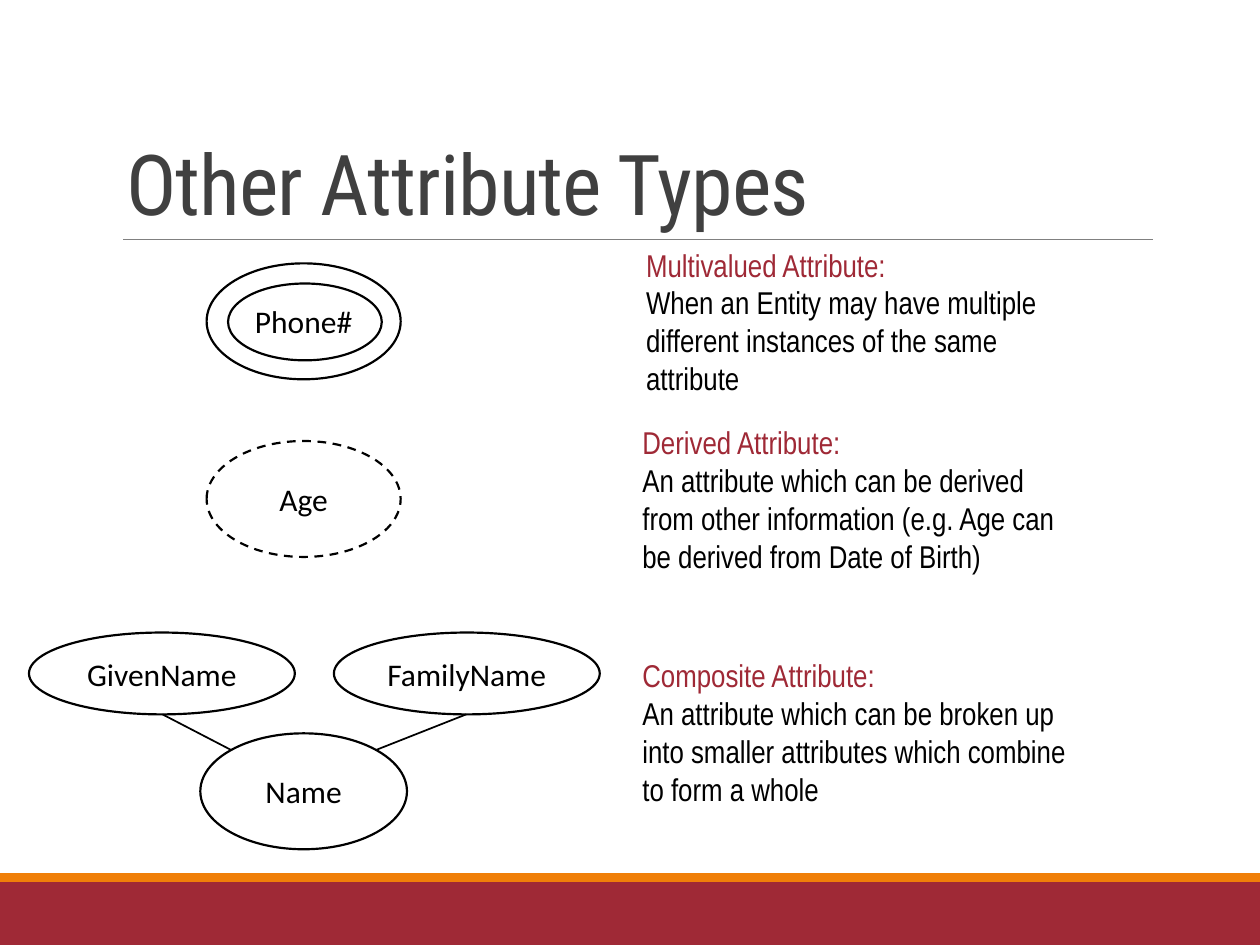
from dataclasses import dataclass
from typing import Any, Optional

import pptx
import pptx.dml.color
import pptx.enum.dml
import pptx.enum.shapes
import pptx.enum.text
import pptx.oxml.ns
import pptx.util
from lxml import etree

Inches = pptx.util.Inches
Pt = pptx.util.Pt
RGBColor = pptx.dml.color.RGBColor
Shape = pptx.enum.shapes.MSO_SHAPE
Align = pptx.enum.text.PP_ALIGN
Anchor = pptx.enum.text.MSO_ANCHOR
AutoSize = pptx.enum.text.MSO_AUTO_SIZE
Dash = pptx.enum.dml.MSO_LINE

MAROON = RGBColor(0x9F, 0x29, 0x36)
ORANGE = RGBColor(0xF0, 0x7F, 0x09)
GRAY = RGBColor(0x80, 0x80, 0x80)
CHARCOAL = RGBColor(0x40, 0x40, 0x40)
BLACK = RGBColor(0, 0, 0)
WHITE = RGBColor(0xFF, 0xFF, 0xFF)

TITLE_FONT = {"name": "Roboto Condensed", "size": Pt(48)}
LABEL_FONT = {"name": "Calibri", "size": Pt(18)}
NOTE_FONT = {"name": "Arial Narrow", "size": Pt(18)}


@dataclass
class Band:
    top: float
    height: float
    color: RGBColor


@dataclass
class Oval:
    label: str
    left: float
    top: float
    width: float
    height: float
    fill: Optional[RGBColor] = WHITE
    dash: Optional[Any] = None


@dataclass
class Line:
    start: tuple[float, float]
    end: tuple[float, float]
    color: RGBColor
    weight: float


@dataclass
class Note:
    heading: str
    body: str
    left: float
    top: float


BANDS = [Band(7, 0.5, MAROON), Band(6.93, 0.07, ORANGE)]

OVALS = [
    Oval("", 1.81, 2.25, 1.22, 0.61),
    Oval("Phone#", 1.64, 2.09, 1.54, 0.92, fill=None),
    Oval("Age", 1.64, 3.5, 1.54, 0.92, dash=Dash.DASH),
    Oval("Name", 1.59, 5.82, 1.64, 0.92),
    Oval("GivenName", 0.23, 5.02, 2.11, 0.65),
    Oval("FamilyName", 2.65, 5.02, 2.11, 0.65),
]

LINES = [
    Line((0.98, 1.9), (9.15, 1.9), GRAY, 0.5),
    Line((1.29, 5.67), (1.83, 5.95), BLACK, 1),
    Line((3.7, 5.67), (2.99, 5.95), BLACK, 1),
]

NOTES = [
    Note("Multivalued Attribute:",
         "When an Entity may have multiple different instances of the same attribute",
         5.03, 1.9),
    Note("Derived Attribute:",
         "An attribute which can be derived from other information "
         "(e.g. Age can be derived from Date of Birth)",
         5, 3.31),
    Note("Composite Attribute:",
         "An attribute which can be broken up into smaller attributes "
         "which combine to form a whole",
         5, 5.16),
]


def apply(target: Any, values: dict[str, Any]) -> None:
    for name, value in values.items():
        setattr(target, name, value)


def write(para: Any, text: str, font: dict[str, Any], color: RGBColor) -> Any:
    span = para.add_run()
    span.text = text
    apply(span.font, font)
    span.font.color.rgb = color
    return span


def draw_title(page: Any, text: str) -> None:
    title = page.shapes.title
    apply(title, {"left": Inches(0.9), "top": Inches(0.31),
                  "width": Inches(8.25), "height": Inches(1.59)})
    apply(title.text_frame, {"vertical_anchor": Anchor.BOTTOM, "word_wrap": True,
                             "auto_size": AutoSize.NONE})
    para = title.text_frame.paragraphs[0]
    apply(para, {"alignment": Align.LEFT, "line_spacing": 0.85})
    span = write(para, text, TITLE_FONT, CHARCOAL)
    span.font._element.set("spc", "-50")


def draw_band(page: Any, band: Band) -> None:
    shape = page.shapes.add_shape(Shape.RECTANGLE, 0, Inches(band.top),
                                  Inches(10), Inches(band.height))
    shape.shadow.inherit = False
    shape.fill.solid()
    shape.fill.fore_color.rgb = band.color
    shape.line.fill.background()


def draw_oval(page: Any, oval: Oval) -> None:
    shape = page.shapes.add_shape(Shape.OVAL, Inches(oval.left), Inches(oval.top),
                                  Inches(oval.width), Inches(oval.height))
    shape.shadow.inherit = False
    if oval.fill is None:
        shape.fill.background()
    else:
        shape.fill.solid()
        shape.fill.fore_color.rgb = oval.fill
    shape.line.color.rgb = BLACK
    apply(shape.line, {"width": Pt(1.25), "dash_style": oval.dash})
    if oval.label:
        shape.text_frame.vertical_anchor = Anchor.MIDDLE
        para = shape.text_frame.paragraphs[0]
        para.alignment = Align.CENTER
        write(para, oval.label, LABEL_FONT, BLACK)


def draw_line(page: Any, line: Line) -> None:
    connector = page.shapes.add_connector(
        pptx.enum.shapes.MSO_CONNECTOR.STRAIGHT,
        *(Inches(value) for value in line.start + line.end))
    connector.line.color.rgb = line.color
    connector.line.width = Pt(line.weight)
    etree.SubElement(connector._element.spPr, pptx.oxml.ns.qn("a:effectLst"))


def draw_note(page: Any, note: Note) -> None:
    box = page.shapes.add_textbox(Inches(note.left), Inches(note.top),
                                  Inches(3.64), Inches(1.31))
    frame = box.text_frame
    apply(frame, {"word_wrap": True, "auto_size": AutoSize.SHAPE_TO_FIT_TEXT})
    write(frame.paragraphs[0], note.heading, NOTE_FONT, MAROON)
    write(frame.add_paragraph(), note.body, NOTE_FONT, BLACK)


def main() -> None:
    deck = pptx.Presentation()
    apply(deck, {"slide_width": Inches(10), "slide_height": Inches(7.5)})
    page = deck.slides.add_slide(deck.slide_layouts[5])
    draw_title(page, "Other Attribute Types")
    for draw, items in ((draw_band, BANDS), (draw_oval, OVALS),
                        (draw_line, LINES), (draw_note, NOTES)):
        for item in items:
            draw(page, item)
    deck.save("out.pptx")


if __name__ == "__main__":
    main()
